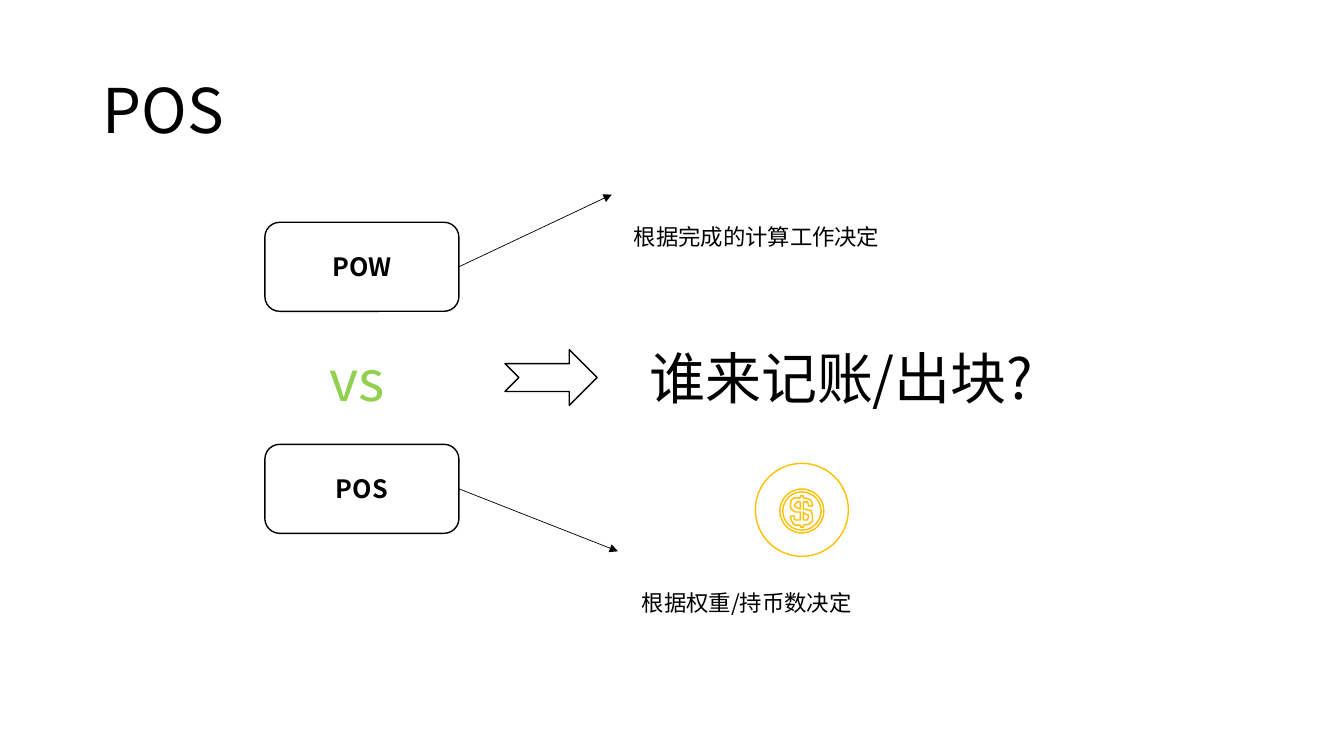
import pptx
import pptx.dml.color
import pptx.enum.shapes
import pptx.enum.text
import pptx.oxml
import pptx.oxml.ns
import pptx.util

Pt = pptx.util.Pt
RGBColor = pptx.dml.color.RGBColor
SHAPE = pptx.enum.shapes.MSO_SHAPE
ALIGN = pptx.enum.text.PP_ALIGN
ANCHOR = pptx.enum.text.MSO_ANCHOR

BLACK = RGBColor(0x00, 0x00, 0x00)
WHITE = RGBColor(0xFF, 0xFF, 0xFF)
GREEN = RGBColor(0x92, 0xD0, 0x50)
GOLD = RGBColor(0xFF, 0xC0, 0x00)
FONT = "Noto Sans CJK SC"
DRAWING_NS = pptx.oxml.ns.nsdecls("a")

TITLE = "POS"
# left, top, width, height in points
TITLE_AREA = (66, 28.75, 828, 104.4)

# name, arrow end
MECHANISMS = [("POW", (437, 139)), ("POS", (441.4, 393.8))]
BOX_LEFT, BOX_TOP, BOX_WIDTH, BOX_HEIGHT = 189.2, 158.8, 138.6, 63.6
BOX_PITCH = 158.6

# text, area, size, colour, alignment, wrap
LABELS = [
    ("vs", (223.9, 243.4, 61.9, 55.4), 40, GREEN, ALIGN.CENTER, True),
    ("谁来记账/出块?", (455.8, 241.9, 290.2, 55.4), 40, BLACK, ALIGN.CENTER, False),
    ("根据完成的计算工作决定", (445.7, 156.2, 218.9, 26.6), 16, BLACK, ALIGN.LEFT, True),
    ("根据权重/持币数决定", (451.4, 417.6, 207.4, 26.6), 16, BLACK, ALIGN.LEFT, True),
]
QUESTION_ARROW = (360.7, 249.8, 65.8, 39.8)

COIN_X = 572.8
# centre height, diameter
COIN_RINGS = [(364.2, 66.4), (365, 31.4), (365, 27.4)]
# outlines in hundredths of an inch from the sign's top left corner
SIGN_LEFT, SIGN_TOP, SIGN_UNIT = 564.5, 354.2, 0.72
DOLLAR_SIGN = [
    [(13, 6), (13, 13), (18, 14), (21, 15), (22, 20), (22, 25), (19, 28), (13, 29),
     (13, 31), (10, 31), (10, 29), (5, 29), (3, 28), (1, 24), (0, 21), (0, 20),
     (4, 20), (4, 23), (5, 24), (7, 24), (10, 24), (10, 16), (5, 16), (3, 15),
     (1, 13), (0, 10), (1, 4), (4, 2), (10, 2), (10, 0), (13, 0), (13, 2),
     (18, 3), (21, 5), (22, 10), (18, 10), (18, 9), (17, 6), (14, 6)],
    [(13, 16), (13, 24), (17, 24), (18, 21), (18, 19), (15, 18)],
    [(10, 6), (7, 6), (5, 8), (4, 10), (7, 12), (10, 13)],
]


def points(values):
    return [Pt(value) for value in values]


def write(frame, text, size, color, align, bold=False):
    paragraph = frame.paragraphs[0]
    paragraph.alignment = align
    run = paragraph.add_run()
    run.text = text
    run.font.size = Pt(size)
    run.font.bold = bold
    run.font.color.rgb = color
    run.font.name = FONT
    run.font._element.append(
        pptx.oxml.parse_xml(f'<a:ea {DRAWING_NS} typeface="{FONT}"/>'))


def outline(shape, color):
    """Give a shape a white fill and a thin line without shadow."""
    shape.shadow.inherit = False
    shape.fill.solid()
    shape.fill.fore_color.rgb = WHITE
    shape.line.color.rgb = color
    shape.line.width = Pt(1)
    return shape


def add_outlined(slide, kind, area, color):
    return outline(slide.shapes.add_shape(kind, *points(area)), color)


def add_arrow(slide, box, end):
    start = (box.left + box.width, box.top + box.height // 2)
    arrow = slide.shapes.add_connector(
        pptx.enum.shapes.MSO_CONNECTOR.STRAIGHT, *start, *points(end))
    arrow.begin_connect(box, 3)
    arrow.line.color.rgb = BLACK
    arrow.line.width = Pt(0.5)
    arrow.line._get_or_add_ln().append(
        pptx.oxml.parse_xml(f'<a:tailEnd {DRAWING_NS} type="triangle"/>'))
    arrow._element.spPr.append(pptx.oxml.parse_xml(f"<a:effectLst {DRAWING_NS}/>"))


def add_coin(slide):
    for center_y, size in COIN_RINGS:
        area = (COIN_X - size / 2, center_y - size / 2, size, size)
        add_outlined(slide, SHAPE.OVAL, area, GOLD)
    first, *others = DOLLAR_SIGN
    sign = slide.shapes.build_freeform(*first[0], scale=Pt(SIGN_UNIT))
    sign.add_line_segments(first[1:], close=True)
    for contour in others:
        sign.move_to(*contour[0])
        sign.add_line_segments(contour[1:], close=True)
    outline(sign.convert_to_shape(Pt(SIGN_LEFT), Pt(SIGN_TOP)), GOLD)


def main():
    deck = pptx.Presentation()
    deck.slide_width, deck.slide_height = points((960, 540))
    slide = deck.slides.add_slide(deck.slide_layouts[5])

    title = slide.shapes.title
    title.left, title.top, title.width, title.height = points(TITLE_AREA)
    title.text_frame.vertical_anchor = ANCHOR.MIDDLE
    title.text_frame.paragraphs[0].line_spacing = 0.9
    write(title.text_frame, TITLE, 44, BLACK, ALIGN.LEFT)

    for row, (name, arrow_end) in enumerate(MECHANISMS):
        area = (BOX_LEFT, BOX_TOP + row * BOX_PITCH, BOX_WIDTH, BOX_HEIGHT)
        box = add_outlined(slide, SHAPE.ROUNDED_RECTANGLE, area, BLACK)
        box.text_frame.vertical_anchor = ANCHOR.MIDDLE
        write(box.text_frame, name, 18, BLACK, ALIGN.CENTER, bold=True)
        add_arrow(slide, box, arrow_end)

    add_outlined(slide, SHAPE.NOTCHED_RIGHT_ARROW, QUESTION_ARROW, BLACK)
    add_coin(slide)

    for text, area, size, color, align, wrap in LABELS:
        label = slide.shapes.add_textbox(*points(area))
        label.text_frame.word_wrap = wrap
        write(label.text_frame, text, size, color, align)

    deck.save("out.pptx")


if __name__ == "__main__":
    main()
